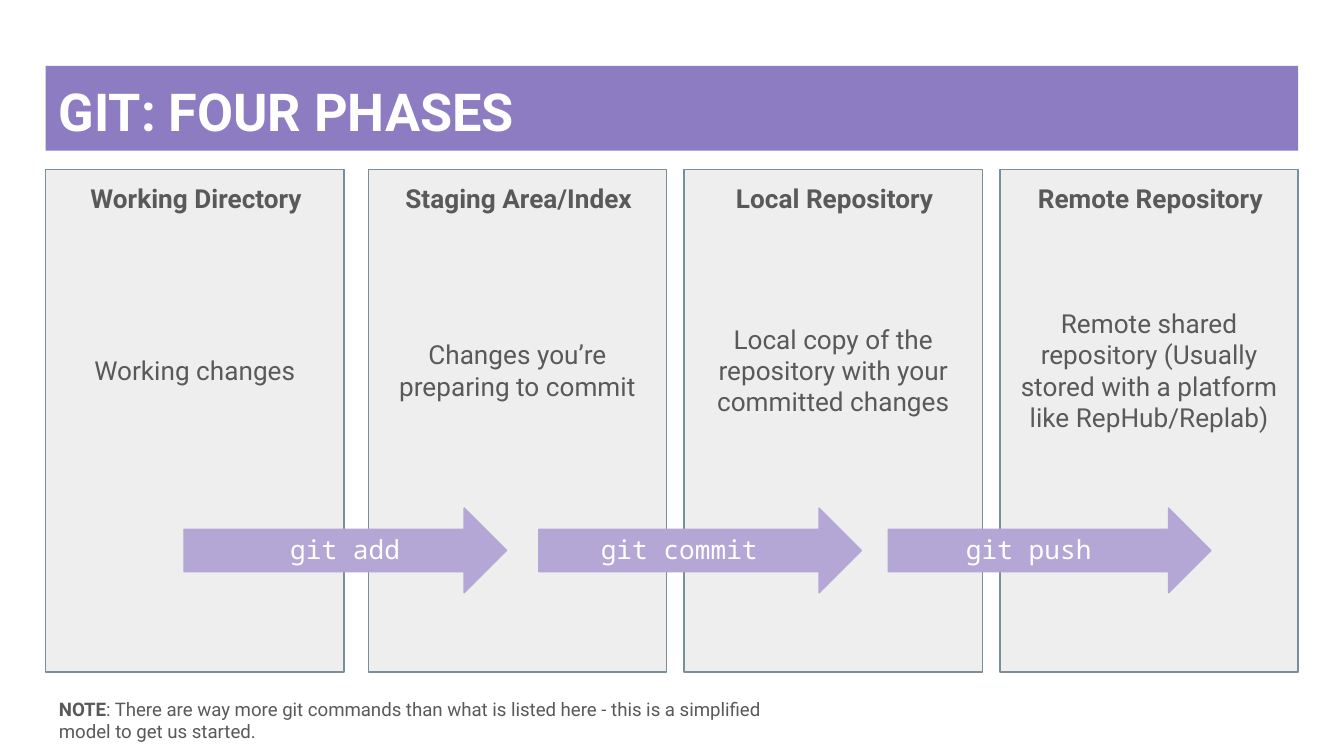
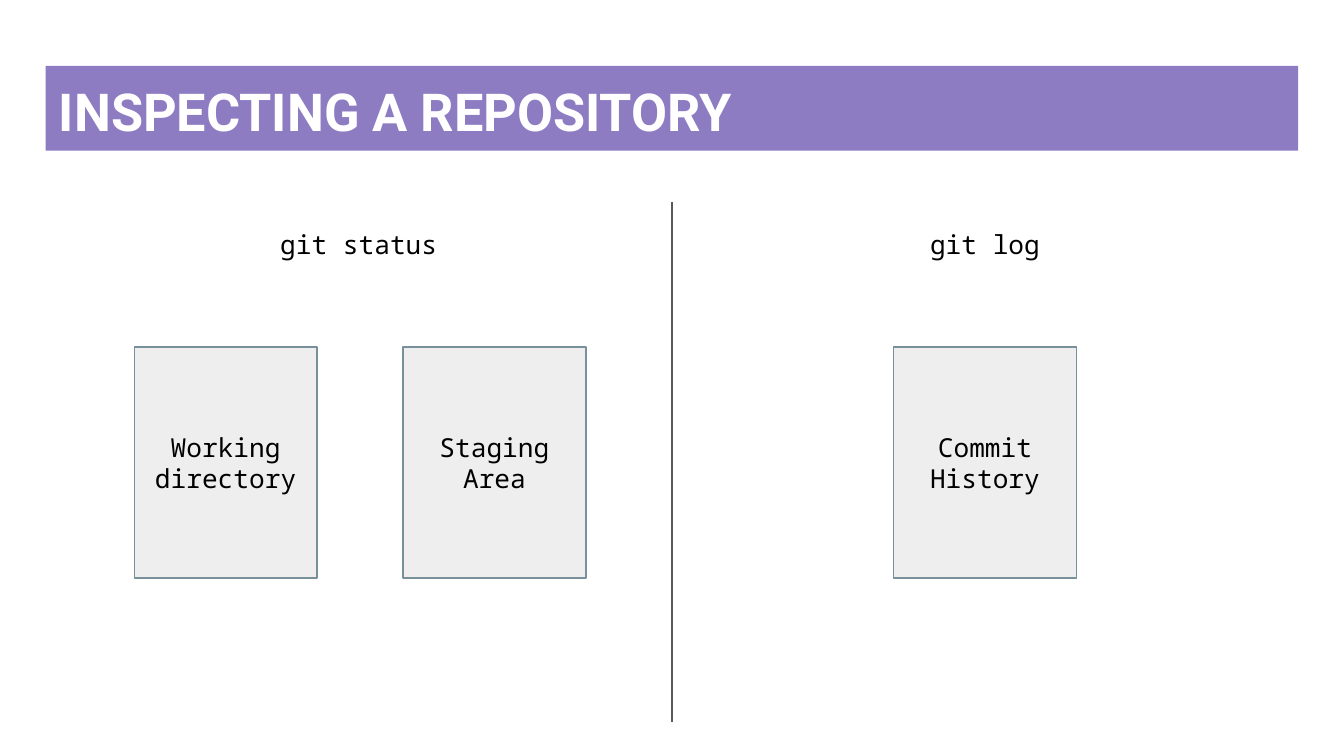
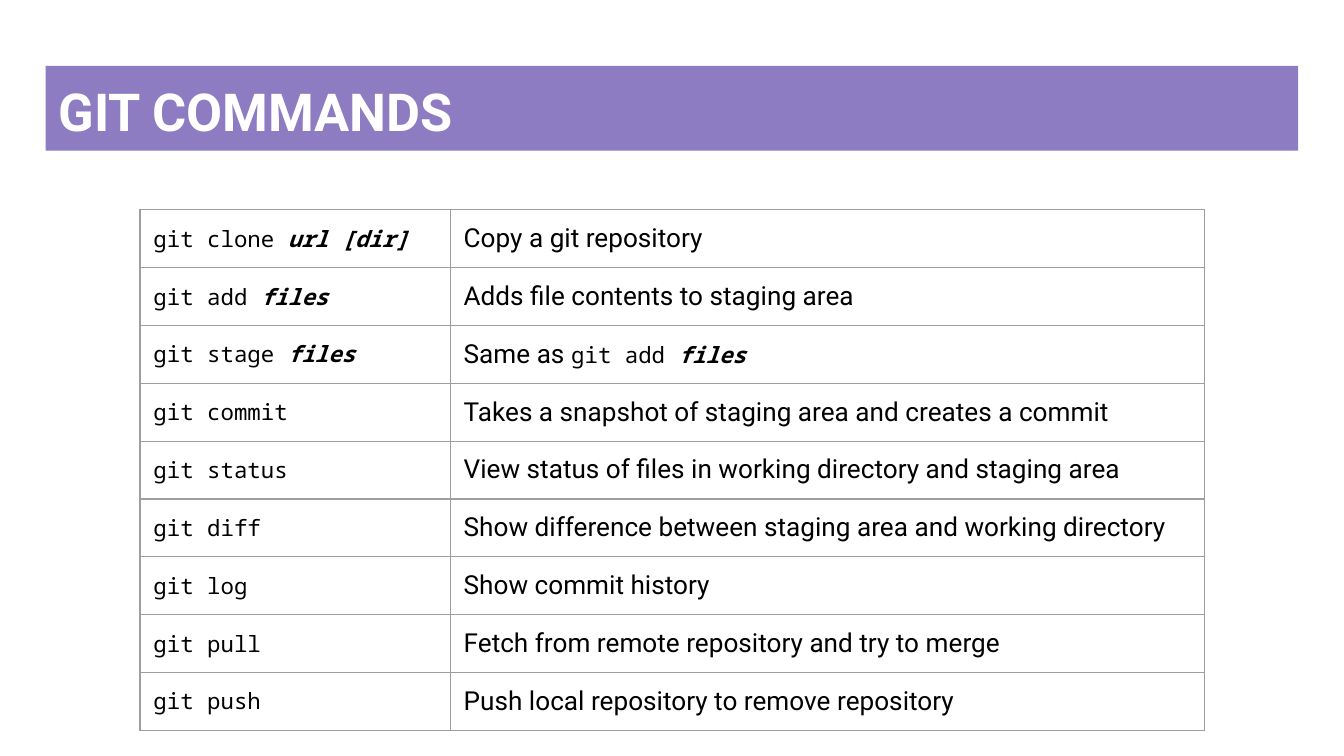
from dataclasses import dataclass, replace

from lxml import etree
from pptx import Presentation
from pptx.dml.color import RGBColor
from pptx.enum import shapes, text
from pptx.oxml import ns
from pptx.util import Pt


@dataclass(frozen=True)
class Style:
    font: str
    size: float
    color: str
    bold: bool = False
    slant: bool = False


@dataclass(frozen=True)
class Theme:
    band: str = "8E7CC3"
    arrow: str = "B4A7D6"
    panel: str = "EEEEEE"
    edge: str = "78909C"
    rule: str = "595959"
    grid: str = "9E9E9E"
    line: float = 0.75
    inset: float = 7.2
    title: Style = Style("Roboto", 28, "FFFFFF", True)
    head: Style = Style("Roboto", 14, "595959", True)
    body: Style = Style("Roboto", 14, "595959")
    note: Style = Style("Roboto", 10, "595959")
    tag: Style = Style("Noto Sans Mono", 14, "FFFFFF")
    label: Style = Style("Noto Sans Mono", 14, "000000")
    prose: Style = Style("Roboto", 14, "000000")
    code: Style = Style("Noto Sans Mono", 12, "000000")
    arg: Style = Style("Noto Sans Mono", 12, "000000", True, True)


T = Theme()
MID = text.MSO_ANCHOR.MIDDLE
TOP = text.MSO_ANCHOR.TOP
LEFT = text.PP_ALIGN.LEFT
CENTER = text.PP_ALIGN.CENTER

PHASES = [
    ("Working Directory", "Working changes"),
    ("Staging Area/Index", "Changes you’re preparing to commit"),
    ("Local Repository",
     "Local copy of the repository with your committed changes"),
    ("Remote Repository",
     "Remote shared repository (Usually stored with a platform "
     "like RepHub/Replab)"),
]
STEPS = [("git add", 98.6, 172.8), ("git commit", 288.7, 150.5),
         ("git push", 475.9, 150.5)]
COMMANDS = [
    ("git clone ", "url [dir]", "Copy a git repository"),
    ("git add ", "files", "Adds file contents to staging area"),
    ("git stage ", "files", "Same as "),
    ("git commit", "", "Takes a snapshot of staging area and creates a commit"),
    ("git status", "",
     "View status of files in working directory and staging area"),
    ("git diff", "",
     "Show difference between staging area and working directory"),
    ("git log", "", "Show commit history"),
    ("git pull", "", "Fetch from remote repository and try to merge"),
    ("git push", "", "Push local repository to remove repository"),
]


def dress(font, style):
    font.name = style.font
    font.size = Pt(style.size)
    font.bold = style.bold
    font.italic = style.slant
    font.color.rgb = RGBColor.from_string(style.color)


def write(frame, runs, align=LEFT):
    para = frame.paragraphs[0]
    para.alignment = align
    same = len({style for _, style in runs}) == 1
    for words, style in runs:
        run = para.add_run()
        run.text = words
        if not same:
            dress(run.font, style)
    if same:
        dress(para.font, runs[0][1])


def fit(frame, runs, align, anchor):
    frame.word_wrap = True
    frame.vertical_anchor = anchor
    frame.margin_left = frame.margin_right = Pt(T.inset)
    frame.margin_top = frame.margin_bottom = Pt(T.inset)
    write(frame, runs, align)


def label(host, box, runs, align=CENTER, anchor=TOP):
    area = host.shapes.add_textbox(*map(Pt, box))
    fit(area.text_frame, runs, align, anchor)


def block(host, box, fill, edge=None, kind=shapes.MSO_SHAPE.RECTANGLE):
    shape = host.shapes.add_shape(kind, *map(Pt, box))
    shape.shadow.inherit = False
    shape.fill.solid()
    shape.fill.fore_color.rgb = RGBColor.from_string(fill)
    if edge:
        shape.line.color.rgb = RGBColor.from_string(edge)
        shape.line.width = Pt(T.line)
    else:
        shape.line.fill.background()
    return shape


def start(deck, title):
    slide = deck.slides.add_slide(deck.slide_layouts[6])
    band = block(slide, (24.5, 35.3, 671, 45.4), T.band)
    fit(band.text_frame, [(title, T.title)], LEFT, TOP)
    return slide


def phase(slide, box, name, words):
    x, y, w, h = box
    block(slide, box, T.panel, T.edge)
    label(slide, (x, y, w + 1.4, 30.2), [(name, T.head)])
    label(slide, (x, y + 25.9, w, 163.4), [(words, T.body)], anchor=MID)


def step(slide, box, words, span):
    x, y, w, h = box
    group = slide.shapes.add_group_shape()

    class Host:
        shapes = group.shapes

    block(Host, box, T.arrow, T.arrow, shapes.MSO_SHAPE.RIGHT_ARROW)
    label(Host, (x, y + 6.5, span, 14.4), [(words, T.tag)])


def phases(deck):
    slide = start(deck, "GIT: FOUR PHASES")
    lefts = [24.5] + [197.3 + 169.2 * i for i in range(3)]
    for x, (name, words) in zip(lefts, PHASES):
        phase(slide, (x, 90.7, 159.8, 269.3), name, words)
    for words, x, span in STEPS:
        step(slide, (x, 272.2, 172.8, 45.4), words, span)
    label(slide, (24.5, 366.5, 413.3, 33.1),
          [("NOTE", replace(T.note, bold=True)),
           (": There are way more git commands than what is listed here"
            " - this is a simplified model to get us started.", T.note)], LEFT)


def pane(slide, box, command, cards):
    x, y, w, h = box
    label(slide, (x, y, w, 45.4), [(command, T.label)], anchor=MID)
    for dx, words in cards:
        card = block(slide, (x + dx, y + 77.8, 97.9, 123.8), T.panel, T.edge)
        fit(card.text_frame, [(words, T.label)], CENTER, MID)


def inspect(deck):
    slide = start(deck, "INSPECTING A REPOSITORY")
    rule = slide.shapes.add_connector(
        shapes.MSO_CONNECTOR.STRAIGHT, Pt(360), Pt(108), Pt(360), Pt(386.6))
    rule.line.color.rgb = RGBColor.from_string(T.rule)
    rule.line.width = Pt(T.line)
    etree.SubElement(rule._element.spPr, ns.qn("a:effectLst"))
    pane(slide, (24.5, 108, 335.5, 278.6), "git status",
         [(47.5, "Working directory"), (191.5, "Staging Area")])
    pane(slide, (360, 108, 335.5, 278.6), "git log",
         [(118.8, "Commit History")])


def border(cell):
    props = cell._tc.get_or_add_tcPr()
    for i, side in enumerate(("lnL", "lnR", "lnT", "lnB")):
        line = etree.Element(ns.qn("a:" + side), w=str(Pt(T.line)))
        fill = etree.SubElement(line, ns.qn("a:solidFill"))
        etree.SubElement(fill, ns.qn("a:srgbClr"), val=T.grid)
        props.insert(i, line)


def grid(slide, box, rows):
    table = slide.shapes.add_table(len(rows), 2, *map(Pt, box)).table
    table.first_row = table.horz_banding = False
    table.columns[0].width = Pt(166.2)
    table.columns[1].width = Pt(box[2] - 166.2)
    for r, row in enumerate(rows):
        table.rows[r].height = Pt(box[3] / len(rows))
        for c, runs in enumerate(row):
            cell = table.cell(r, c)
            cell.margin_left = cell.margin_right = Pt(T.inset)
            cell.margin_top = cell.margin_bottom = Pt(T.inset)
            cell.fill.background()
            border(cell)
            write(cell.text_frame, runs)


def commands(deck):
    slide = start(deck, "GIT COMMANDS")
    rows = []
    for code, arg, words in COMMANDS:
        call = [(code, T.code)] + ([(arg, T.arg)] if arg else [])
        rows.append([call, [(words, T.prose)]])
    rows[2][1] += rows[1][0]
    grid(slide, (75, 112.4, 570.2, 279), rows)


def main():
    deck = Presentation()
    deck.slide_width, deck.slide_height = Pt(720), Pt(405)
    phases(deck)
    inspect(deck)
    commands(deck)
    deck.save("out.pptx")


if __name__ == "__main__":
    main()
